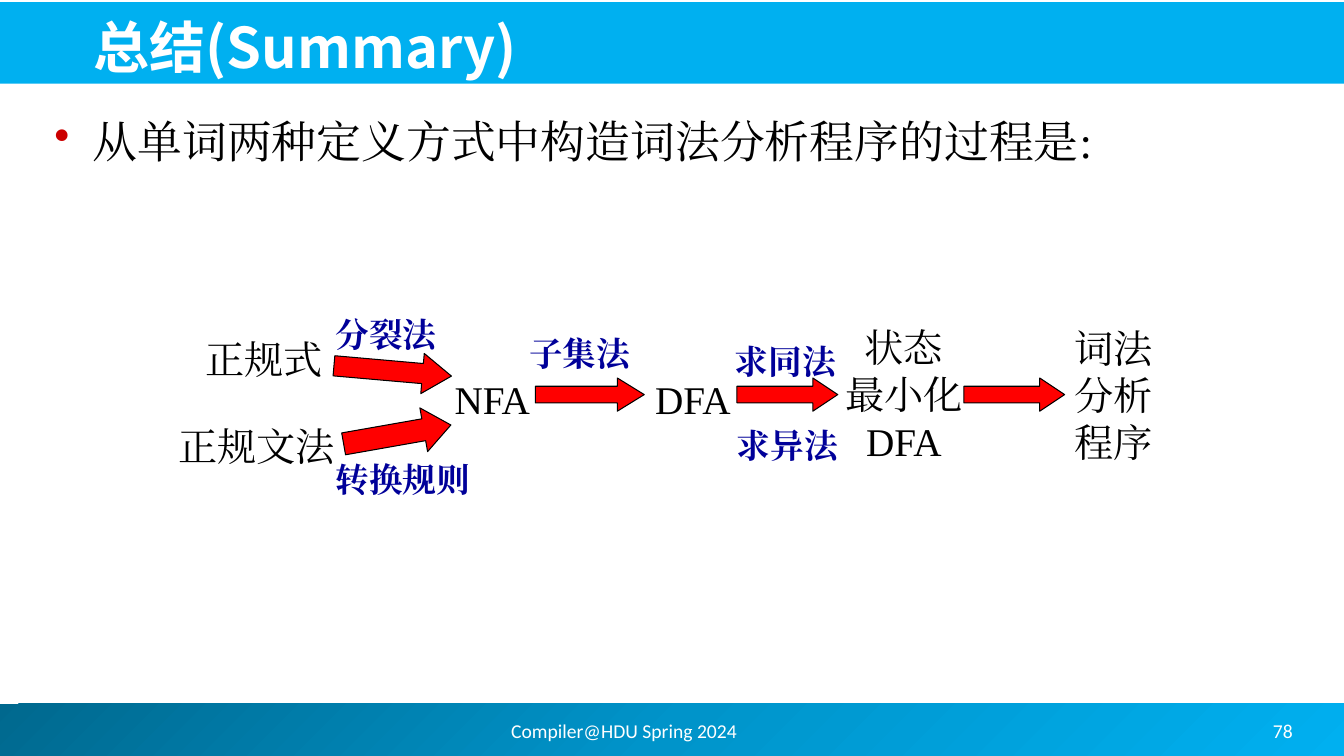
from copy import deepcopy

from pptx import Presentation
from pptx.dml.color import RGBColor
from pptx.enum.shapes import MSO_SHAPE
from pptx.enum.text import MSO_ANCHOR, MSO_AUTO_SIZE, PP_ALIGN
from pptx.oxml.ns import qn
from pptx.util import Inches, Pt
from lxml.etree import SubElement

COLORS = {
    "sky": "00B0F0", "ocean": "0094CA", "deep": "00688E", "white": "FFFFFF",
    "black": "000000", "arrow": "FF0000", "method": "000099", "bullet": "CC0000",
}
SERIF, SANS, FOOTER_FONT = "Times New Roman", "Noto Sans CJK JP", "Calibri"


def rgb(name):
    return RGBColor.from_string(COLORS[name])


def write(frame, text, size=28, font=SERIF, color="black", bold=False,
          align=PP_ALIGN.LEFT, anchor=MSO_ANCHOR.TOP, wrap=True, grow=False):
    """Fill a text frame, one paragraph per line of text."""
    frame.word_wrap = wrap
    frame.auto_size = MSO_AUTO_SIZE.SHAPE_TO_FIT_TEXT if grow else MSO_AUTO_SIZE.NONE
    frame.vertical_anchor = anchor
    for index, line in enumerate(text.split("\n")):
        paragraph = frame.add_paragraph() if index else frame.paragraphs[0]
        paragraph.alignment = align
        run = paragraph.add_run()
        run.text = line
        run.font.size, run.font.bold, run.font.name = Pt(size), bold, font
        run.font.color.rgb = rgb(color)
        properties = run.font._element
        properties.set("lang", "zh-CN")
        SubElement(properties, qn("a:ea")).set("typeface", font)


def add_text(slide, box, text, **style):
    label = slide.shapes.add_textbox(*map(Inches, box))
    write(label.text_frame, text, **style)
    return label


def add_block(slide, preset, box, color):
    block = slide.shapes.add_shape(preset, *map(Inches, box))
    block.shadow.inherit = False
    block.fill.solid()
    block.fill.fore_color.rgb = rgb(color)
    block.line.fill.background()
    return block


def add_header(slide, box):
    left, top, width, height = box
    add_block(slide, MSO_SHAPE.RECTANGLE, box, "sky")
    title = slide.shapes.title
    title.left, title.top = Inches(left + 0.85), Inches(top + 0.03)
    title.width, title.height = Inches(width - 1.3), Inches(height - 0.02)
    write(title.text_frame, "总结(Summary)", size=40, font=SANS, color="white",
          bold=True, anchor=MSO_ANCHOR.BOTTOM)
    slide.shapes._spTree.append(title._element)  # in front of the band


def add_statement(slide, box):
    statement = add_text(slide, box, "从单词两种定义方式中构造词法分析程序的过程是:", size=32)
    paragraph = statement.text_frame.paragraphs[0]
    paragraph.space_before = Pt(6.4)
    properties = paragraph._p.get_or_add_pPr()
    properties.set("marL", str(Inches(0.38)))
    properties.set("indent", str(-Inches(0.38)))
    bullet_color = SubElement(properties, qn("a:buClr"))
    SubElement(bullet_color, qn("a:srgbClr")).set("val", COLORS["bullet"])
    SubElement(properties, qn("a:buChar")).set("char", "•")


def add_flow(slide, box):
    """Process from regular forms to the lexer; places are relative to box."""
    left, top = box[:2]

    def place(x, y, width, height):
        return left + x, top + y, width, height

    # Arrows: place, rotation, head length relative to height
    for x, y, width, height, rotation, head in (
        (1.64, 0.41, 1.17, 0.4, 5, 0.72),
        (1.73, 1.02, 1.08, 0.44, 350, 0.62),
        (3.64, 0.68, 1.08, 0.33, 0, 0.81),
        (5.64, 0.68, 1, 0.33, 0, 0.75),
        (7.89, 0.68, 1, 0.33, 0, 0.75),
    ):
        arrow = add_block(slide, MSO_SHAPE.RIGHT_ARROW, place(x, y, width, height), "arrow")
        arrow.adjustments[0], arrow.adjustments[1] = 0.5, head
        arrow.rotation = rotation
        arrow.line.color.rgb = rgb("black")
        arrow.line.width = Pt(0.75)

    # Stages
    for text, x, y, width in (
        ("正规式", 0.27, 0.21, 1.37),
        ("正规文法", 0, 1.07, 1.76),
        ("NFA", 2.74, 0.6, 0.98),
        ("DFA", 4.73, 0.6, 0.98),
    ):
        add_text(slide, place(x, y, width, 0.57), text, wrap=False, grow=True)
    add_text(slide, place(6.61, 0.09, 1.37, 1.5), "状态\n最小化\nDFA",
             align=PP_ALIGN.CENTER, wrap=False, grow=True)
    add_text(slide, place(8.89, 0.1, 1, 1.5), "词法\n分析\n程序", grow=True)

    # Methods beside the arrows
    for text, x, y, width in (
        ("分裂法", 1.56, 0, 1.2),
        ("转换规则", 1.56, 1.43, 1.53),
        ("子集法", 3.48, 0.18, 1.2),
        ("求同法", 5.52, 0.26, 1.21),
        ("求异法", 5.54, 1.1, 1.21),
    ):
        add_text(slide, place(x, y, width, 0.5), text, size=24, color="method",
                 bold=True, wrap=False, grow=True)


def add_footer(slide, box):
    left, top, _, _ = box
    band = add_block(slide, MSO_SHAPE.RECTANGLE, box, "sky")
    band.fill.gradient()
    band.fill.gradient_angle = 315
    stop_list = band._element.spPr.find(qn("a:gradFill")).find(qn("a:gsLst"))
    stop_list.insert(1, deepcopy(stop_list[0]))
    for stop, color, position in zip(band.fill.gradient_stops,
                                     ("deep", "ocean", "sky"), (0, 0.5, 1)):
        stop.color.rgb = rgb(color)
        stop.position = position
    for text, x, width, align in (
        ("78", 10.08, 2.89, PP_ALIGN.RIGHT),
        ("Compiler@HDU Spring 2024", 4.13, 4.22, PP_ALIGN.CENTER),
    ):
        add_text(slide, (left + x, top + 0.02, width, 0.5), text, size=14,
                 font=FOOTER_FONT, color="white", align=align, anchor=MSO_ANCHOR.MIDDLE)


def main():
    deck = Presentation()
    deck.slide_width, deck.slide_height = Inches(13.33), Inches(7.5)
    slide = deck.slides.add_slide(deck.slide_layouts[5])
    add_footer(slide, (-0.05, 6.98, 13.39, 0.52))
    add_header(slide, (-0.02, 0.02, 13.36, 0.81))
    add_statement(slide, (0.44, 1.08, 12.44, 5.44))
    add_flow(slide, (1.67, 3.07, 9.89, 1.93))
    deck.save("out.pptx")


if __name__ == "__main__":
    main()
